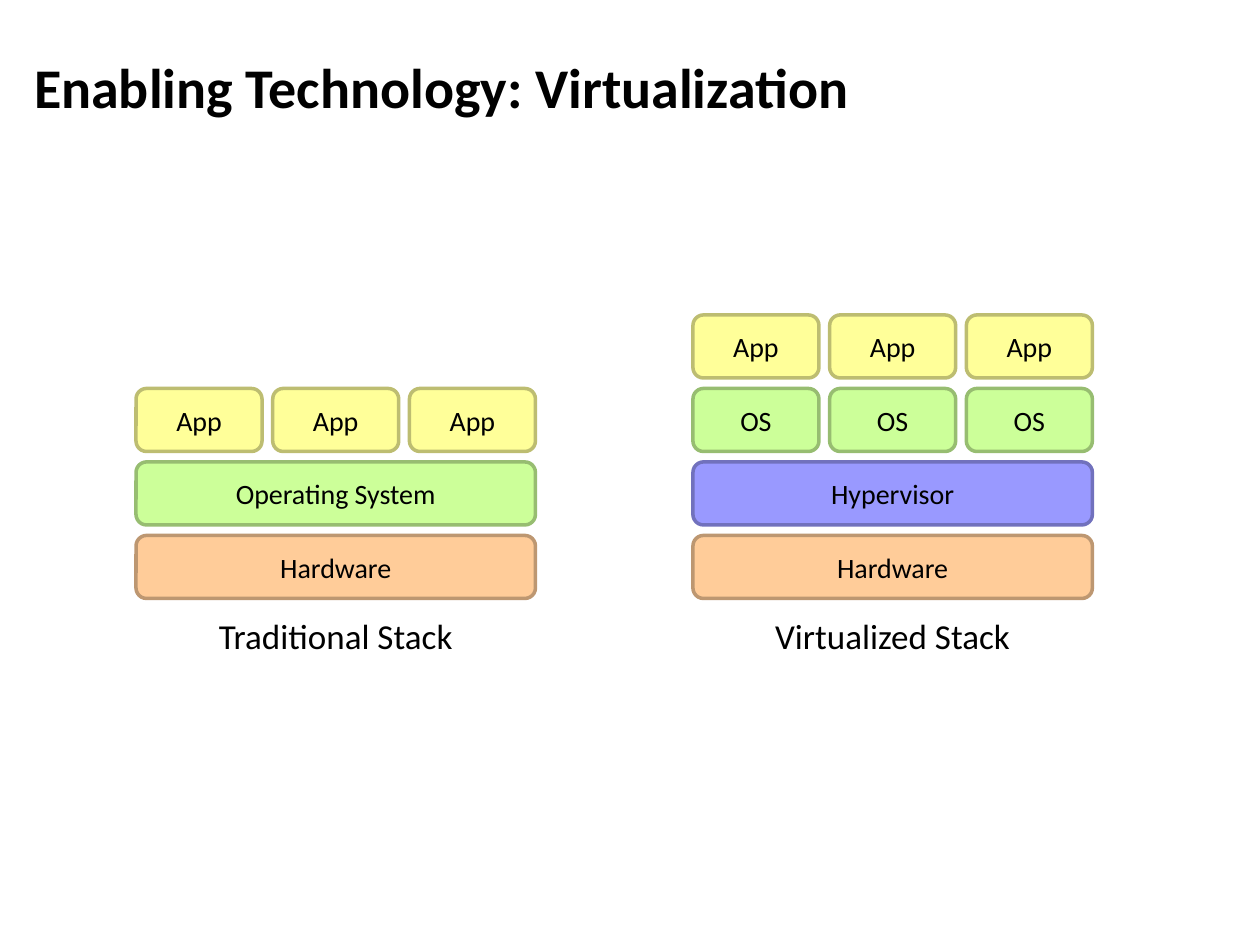
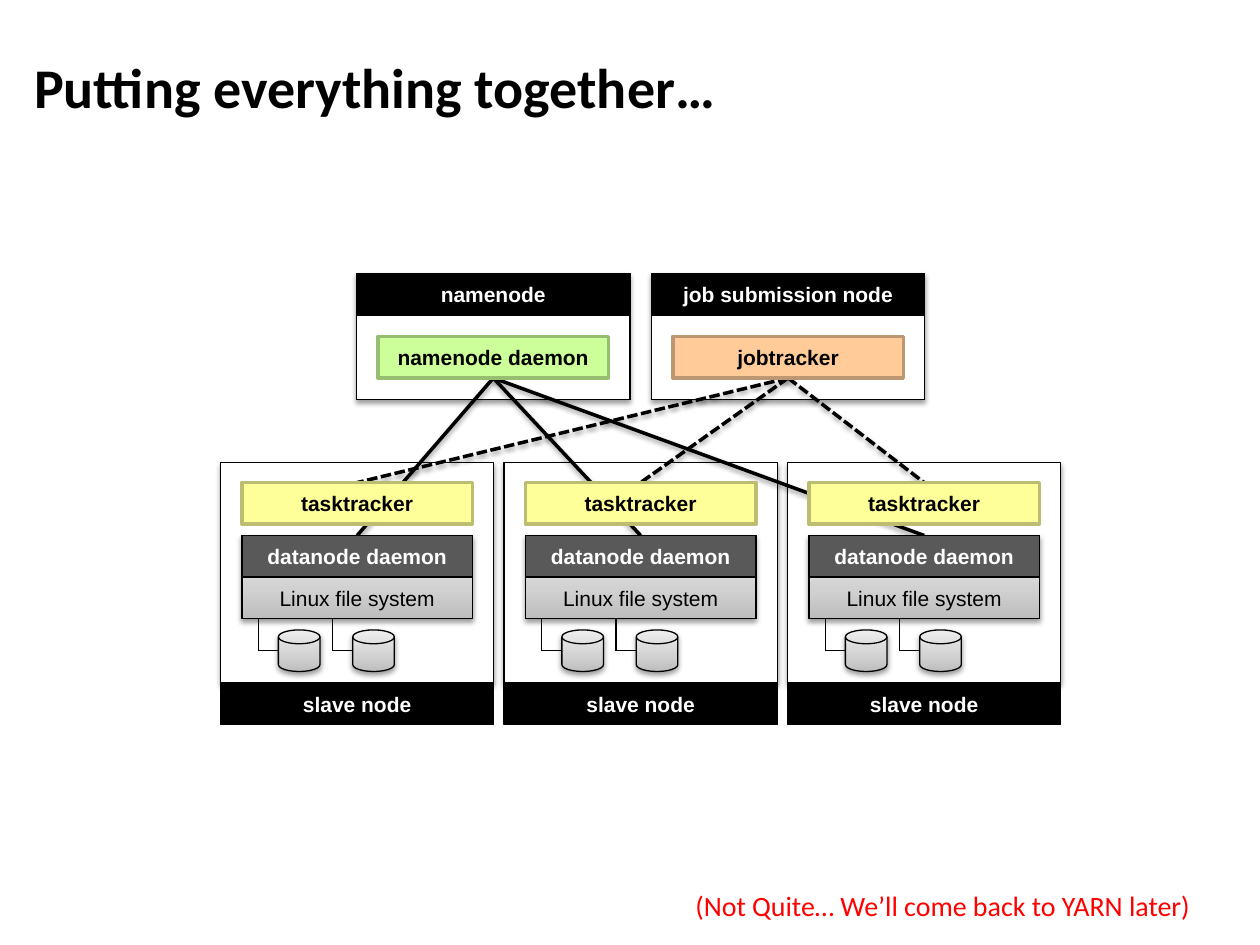
from dataclasses import dataclass
from typing import Optional

from lxml.etree import SubElement
from pptx import Presentation
from pptx.dml.color import RGBColor
from pptx.enum.dml import MSO_LINE
from pptx.enum.shapes import MSO_CONNECTOR, MSO_SHAPE
from pptx.enum.text import MSO_ANCHOR, MSO_AUTO_SIZE, PP_ALIGN
from pptx.oxml.ns import qn
from pptx.util import Inches, Pt

COLORS = {
    "black": "000000", "white": "FFFFFF", "red": "FF0000", "gray": "595959",
    "orange": "FFCC99", "orange_edge": "BD9771",
    "green": "CCFF99", "green_edge": "97BD71",
    "yellow": "FFFF99", "yellow_edge": "BDBD71",
    "violet": "9999FF", "violet_edge": "7171BD",
}
METAL = ((0, "BDBDBD"), (35, "D1D1D1"), (100, "EEEEEE"))

STACK_W, CELL_W, CELL_H = 3.17, 1, 0.5
HARDWARE_Y, ROW_STEP, CAPTION_Y = 4.25, 7 / 12, 4.83

NODE_W, INNER_W, INSET, BAR_H = 2.17, 1.83, 0.17, 0.33
HEAD_Y, HEAD_H, DAEMON_Y = 2.17, 1, 2.67
SLAVE_X, SLAVE_STEP, SLAVE_Y, SLAVE_H = 1.75, 2.25, 3.67, 1.75
TASK_Y, DATA_Y, DISK_Y = 3.83, 4.25, 5


@dataclass
class Style:
    fill: Optional[str] = None
    edge: str = "black"
    width: float = 0.75
    shadow: bool = False
    shape: MSO_SHAPE = MSO_SHAPE.RECTANGLE


@dataclass
class Type:
    size: float
    font: str = "Arial"
    color: str = "black"
    bold: bool = False
    align: PP_ALIGN = PP_ALIGN.CENTER


@dataclass
class Layer:
    label: str
    color: str
    count: int = 1


@dataclass
class Stack:
    caption: str
    x: float
    layers: list[Layer]


@dataclass
class Head:
    name: str
    daemon: str
    color: str
    x: float
    target_y: float
    dashed: bool = False


TITLE = Type(32, "Calibri", bold=True, align=PP_ALIGN.LEFT)
LAYER = Type(16, "Calibri")
CAPTION = Type(20, "Calibri")
REMARK = Type(16, "Calibri", "red", align=PP_ALIGN.LEFT)
PLAIN = Type(12)
BOLD = Type(12, bold=True)
BOLD_WHITE = Type(12, color="white", bold=True)

NODE = Style("white", shadow=True)
OUTLINE = Style()
BAR = Style("black")
DATANODE = Style("gray")
STORAGE = Style("metal", shadow=True)
DISK = Style("metal", shadow=True, shape=MSO_SHAPE.FLOWCHART_MAGNETIC_DISK)

STACKS = [
    Stack("Traditional Stack", 1.08, [
        Layer("Hardware", "orange"),
        Layer("Operating System", "green"),
        Layer("App", "yellow", 3),
    ]),
    Stack("Virtualized Stack", 5.5, [
        Layer("Hardware", "orange"),
        Layer("Hypervisor", "violet"),
        Layer("OS", "green", 3),
        Layer("App", "yellow", 3),
    ]),
]
HEADS = [
    Head("namenode", "namenode daemon", "green", 2.83, DATA_Y),
    Head("job submission node", "jobtracker", "orange", 5.17, TASK_Y, True),
]


def rgb(name: str) -> RGBColor:
    return RGBColor.from_string(COLORS[name])


def tinted(color: str, shape=MSO_SHAPE.RECTANGLE) -> Style:
    return Style(color, f"{color}_edge", 2, shape=shape)


def write(tf, text: str, kind: Type) -> None:
    tf.word_wrap = True
    p = tf.paragraphs[0]
    p.alignment = kind.align
    r = p.add_run()
    r.text = text
    r.font.name = kind.font
    r.font.size = Pt(kind.size)
    r.font.bold = kind.bold
    r.font.color.rgb = rgb(kind.color)


def add_shadow(effects) -> None:
    shadow = SubElement(effects, qn("a:outerShdw"), blurRad=str(Pt(3.1)),
                        dist=str(Pt(1.6)), dir="5400000", rotWithShape="0")
    color = SubElement(shadow, qn("a:srgbClr"), val=COLORS["black"])
    SubElement(color, qn("a:alpha"), val="38000")


def fill_metal(sp) -> None:
    sp.fill.gradient()
    sp.fill.gradient_angle = 90
    stops = sp.element.spPr.find(".//" + qn("a:gsLst"))
    for stop in list(stops):
        stops.remove(stop)
    for percent, color in METAL:
        stop = SubElement(stops, qn("a:gs"), pos=str(percent * 1000))
        SubElement(stop, qn("a:srgbClr"), val=color)


def add_box(slide, x: float, y: float, w: float, h: float, style: Style,
            text: str = "", kind: Type = PLAIN) -> None:
    sp = slide.shapes.add_shape(style.shape, Inches(x), Inches(y), Inches(w), Inches(h))
    if style.fill == "metal":
        fill_metal(sp)
    elif style.fill:
        sp.fill.solid()
        sp.fill.fore_color.rgb = rgb(style.fill)
    else:
        sp.fill.background()
    sp.line.color.rgb = rgb(style.edge)
    sp.line.width = Pt(style.width)
    sp.shadow.inherit = False
    if style.shadow:
        add_shadow(sp.element.spPr.find(qn("a:effectLst")))
    if text:
        sp.text_frame.vertical_anchor = MSO_ANCHOR.MIDDLE
        write(sp.text_frame, text, kind)


def add_line(slide, x1: float, y1: float, x2: float, y2: float,
             width: float = 0.75, dashed: bool = False, shadow: bool = False) -> None:
    line = slide.shapes.add_connector(MSO_CONNECTOR.STRAIGHT, Inches(x1), Inches(y1),
                                      Inches(x2), Inches(y2))
    line.line.color.rgb = rgb("black")
    line.line.width = Pt(width)
    if dashed:
        line.line.dash_style = MSO_LINE.SQUARE_DOT
    effects = SubElement(line._element.spPr, qn("a:effectLst"))
    if shadow:
        add_shadow(effects)


def add_text(slide, x: float, y: float, w: float, h: float, text: str, kind: Type) -> None:
    tb = slide.shapes.add_textbox(Inches(x), Inches(y), Inches(w), Inches(h))
    write(tb.text_frame, text, kind)


def add_titled_slide(prs, text: str):
    slide = prs.slides.add_slide(prs.slide_layouts[5])
    title = slide.shapes.title
    title.left, title.top = Inches(0.17), Inches(0.12)
    title.width, title.height = Inches(9.5), Inches(1.12)
    tf = title.text_frame
    tf.auto_size = MSO_AUTO_SIZE.NONE
    tf.vertical_anchor = MSO_ANCHOR.MIDDLE
    write(tf, text, TITLE)
    return slide


def draw_stack(slide, stack: Stack) -> None:
    for level, layer in enumerate(stack.layers):
        w = STACK_W if layer.count == 1 else CELL_W
        step = (STACK_W - w) / max(layer.count - 1, 1)
        for i in range(layer.count):
            add_box(slide, stack.x + i * step, HARDWARE_Y - level * ROW_STEP, w, CELL_H,
                    tinted(layer.color, MSO_SHAPE.ROUNDED_RECTANGLE), layer.label, LAYER)
    add_text(slide, stack.x, CAPTION_Y, STACK_W, 0.44, stack.caption, CAPTION)


def draw_head(slide, head: Head) -> None:
    add_box(slide, head.x, HEAD_Y, NODE_W, BAR_H, BAR, head.name, BOLD_WHITE)
    add_box(slide, head.x, HEAD_Y + BAR_H, NODE_W, HEAD_H - BAR_H, OUTLINE)
    add_box(slide, head.x + INSET, DAEMON_Y, INNER_W, BAR_H, tinted(head.color),
            head.daemon, BOLD)


def draw_slave(slide, x: float) -> None:
    inner = x + INSET
    files_y = DATA_Y + BAR_H
    storage_end = files_y + BAR_H
    add_box(slide, inner, DATA_Y, INNER_W, 2 * BAR_H, STORAGE)
    add_box(slide, inner, DATA_Y, INNER_W, BAR_H, DATANODE, "datanode daemon", BOLD_WHITE)
    add_box(slide, inner, files_y, INNER_W, BAR_H, OUTLINE, "Linux file system", PLAIN)
    for disk_x in (inner + 0.29, inner + 0.88):
        stem_x, middle = disk_x - 0.16, DISK_Y + BAR_H / 2
        add_box(slide, disk_x, DISK_Y, BAR_H, BAR_H, DISK)
        add_line(slide, stem_x, storage_end, stem_x, middle)
        add_line(slide, stem_x, middle, disk_x, middle)
    add_box(slide, inner, TASK_Y, INNER_W, BAR_H, tinted("yellow"), "tasktracker", BOLD)
    add_box(slide, x, SLAVE_Y + SLAVE_H, NODE_W, BAR_H, BAR, "slave node", BOLD_WHITE)


def build_virtualization(prs) -> None:
    slide = add_titled_slide(prs, "Enabling Technology: Virtualization")
    for stack in STACKS:
        draw_stack(slide, stack)


def build_cluster(prs) -> None:
    slide = add_titled_slide(prs, "Putting everything together…")
    slaves = [SLAVE_X + i * SLAVE_STEP for i in range(3)]
    for head in HEADS:
        add_box(slide, head.x, HEAD_Y, NODE_W, HEAD_H, NODE)
    for x in slaves:
        add_box(slide, x, SLAVE_Y, NODE_W, SLAVE_H, NODE)
    for head in HEADS:
        for x in slaves:
            add_line(slide, head.x + NODE_W / 2, DAEMON_Y + BAR_H, x + NODE_W / 2,
                     head.target_y, 2, head.dashed, True)
    for x in slaves:
        draw_slave(slide, x)
    for head in HEADS:
        draw_head(slide, head)
    add_text(slide, 5.42, 7, 4.42, 0.37, "(Not Quite… We’ll come back to YARN later)", REMARK)


def main() -> None:
    prs = Presentation()
    prs.slide_width, prs.slide_height = Inches(10), Inches(7.5)
    build_virtualization(prs)
    build_cluster(prs)
    prs.save("out.pptx")


if __name__ == "__main__":
    main()
